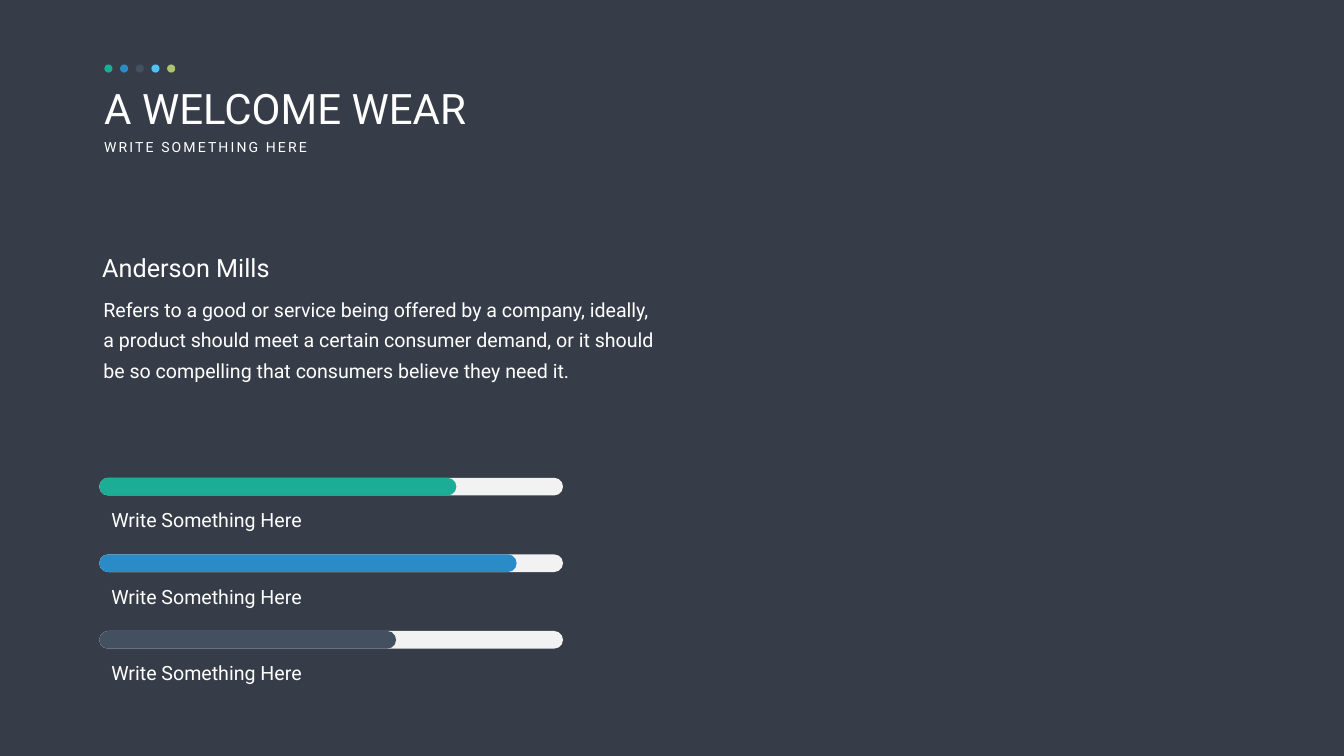
"""Build a dark profile slide with a heading, a short biography and three progress bars."""
from pptx import Presentation
from pptx.dml.color import RGBColor
from pptx.enum.shapes import MSO_SHAPE
from pptx.enum.text import MSO_ANCHOR, MSO_AUTO_SIZE, PP_ALIGN
from pptx.util import Cm, Pt

FONT = "Roboto"
WHITE, TRACK, BACKGROUND = "FFFFFF", "F2F2F2", "363D48"
TITLE = "A WELCOME WEAR"
SUBTITLE = "WRITE SOMETHING HERE"
PERSON = "Anderson Mills"
BIOGRAPHY = (
    "Refers to a good or service being offered by a company, ideally, "
    "a product should meet a certain consumer demand, or it should "
    "be so compelling that consumers believe they need it."
)
DOT_COLOURS = ["1CAD97", "2B8BC7", "425060", "4EC2F4", "AAC46F"]
BARS = [
    ("Write Something Here", 0.77, "1CAD97"),
    ("Write Something Here", 0.9, "2B8BC7"),
    ("Write Something Here", 0.64, "425060"),
]

LEFT = 5
DOT_LEFT, DOT_TOP, DOT_SIZE, DOT_PITCH = 5.26, 3.25, 0.41, 0.79
BAR_TOP, BAR_WIDTH, BAR_HEIGHT, BAR_PITCH = 24.08, 23.37, 0.89, 3.86
WIDE_INSETS = (0.61, 0.3)


def paint(fill, colour):
    fill.solid()
    fill.fore_color.rgb = RGBColor.from_string(colour)


def write(box, text, *, size, insets=(0.25, 0.13), leading=None, tracking=None, wrap=True):
    frame = box.text_frame
    frame.auto_size = MSO_AUTO_SIZE.NONE
    frame.word_wrap = wrap
    frame.vertical_anchor = MSO_ANCHOR.TOP
    frame.margin_left = frame.margin_right = Cm(insets[0])
    frame.margin_top = frame.margin_bottom = Cm(insets[1])
    para = frame.paragraphs[0]
    para.alignment = PP_ALIGN.LEFT
    if leading:
        para.line_spacing = Pt(leading)
    span = para.add_run()
    span.text = text
    span.font.name = FONT
    span.font.size = Pt(size)
    span.font.color.rgb = RGBColor.from_string(WHITE)
    if tracking:
        span._r.get_or_add_rPr().set("spc", str(tracking * 100))


def add_text(page, text, left, top, width, height, **style):
    box = page.shapes.add_textbox(Cm(left), Cm(top), Cm(width), Cm(height))
    write(box, text, **style)


def add_shape(page, kind, left, top, width, height, colour):
    shape = page.shapes.add_shape(kind, Cm(left), Cm(top), Cm(width), Cm(height))
    shape.shadow.inherit = False
    shape.line.fill.background()
    paint(shape.fill, colour)
    return shape


def add_bar(page, top, width, colour):
    bar = add_shape(page, MSO_SHAPE.ROUNDED_RECTANGLE, LEFT, top, width, BAR_HEIGHT, colour)
    bar.adjustments[0] = 0.5


def add_heading(page):
    title = page.shapes.title
    title.left, title.top, title.width, title.height = Cm(LEFT), Cm(4.04), Cm(21.18), Cm(2.82)
    write(title, TITLE, size=60)
    add_text(page, SUBTITLE, LEFT, 6.86, 11.05, 1.12, size=20, tracking=3, wrap=False)
    for index, colour in enumerate(DOT_COLOURS):
        left = DOT_LEFT + index * DOT_PITCH
        add_shape(page, MSO_SHAPE.OVAL, left, DOT_TOP, DOT_SIZE, DOT_SIZE, colour)


def add_profile(page):
    add_text(page, BIOGRAPHY, 4.6, 14.4, 29.26, 5.08, size=28, insets=WIDE_INSETS, leading=43)
    add_text(page, PERSON, 4.9, 12.6, 13.74, 1.8, size=36)


def add_progress(page):
    for index, (label, share, colour) in enumerate(BARS):
        top = BAR_TOP + index * BAR_PITCH
        add_bar(page, top, BAR_WIDTH, TRACK)
        add_bar(page, top, BAR_WIDTH * share, colour)
        add_text(page, label, LEFT, top + BAR_HEIGHT, BAR_WIDTH, 2.01,
                 size=28, insets=WIDE_INSETS, leading=43)


def main():
    deck = Presentation()
    deck.slide_width, deck.slide_height = Cm(67.72), Cm(38.1)
    page = deck.slides.add_slide(deck.slide_layouts.get_by_name("Title Only"))
    paint(page.background.fill, BACKGROUND)
    add_heading(page)
    add_profile(page)
    add_progress(page)
    deck.save("out.pptx")


if __name__ == "__main__":
    main()
